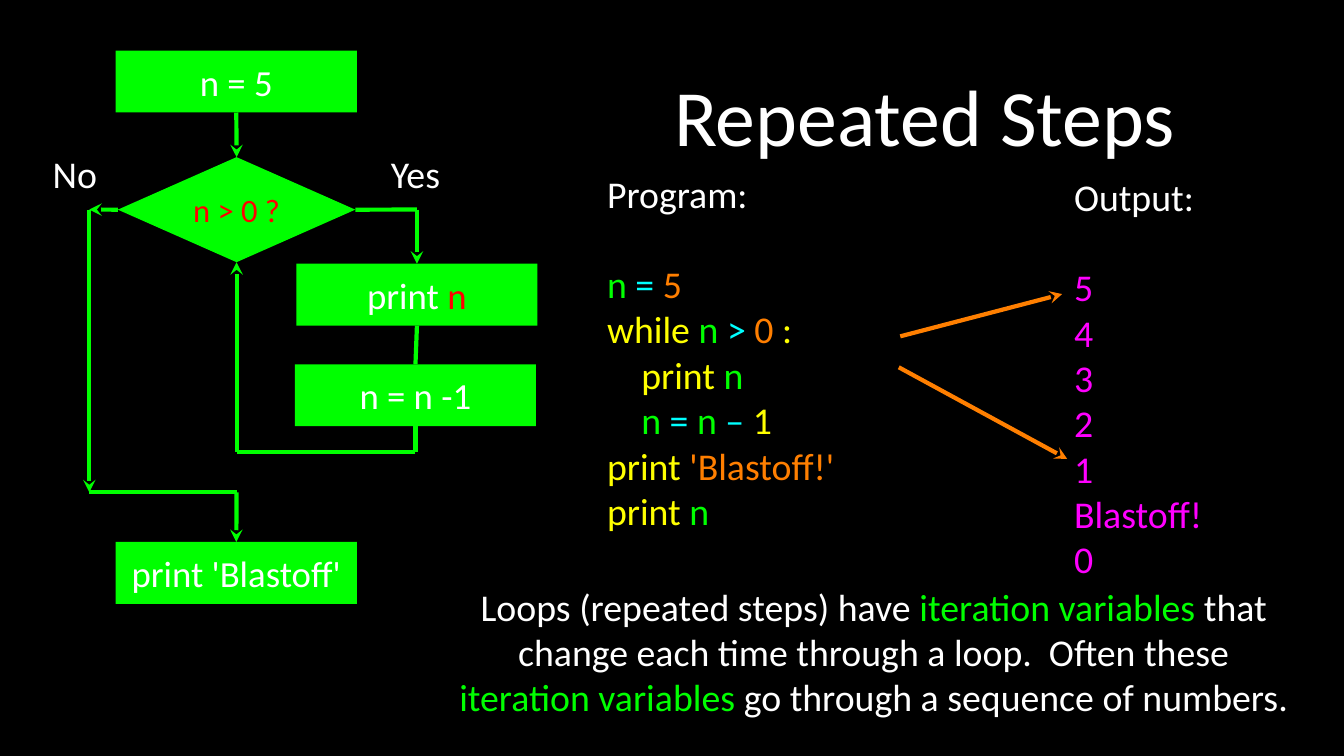
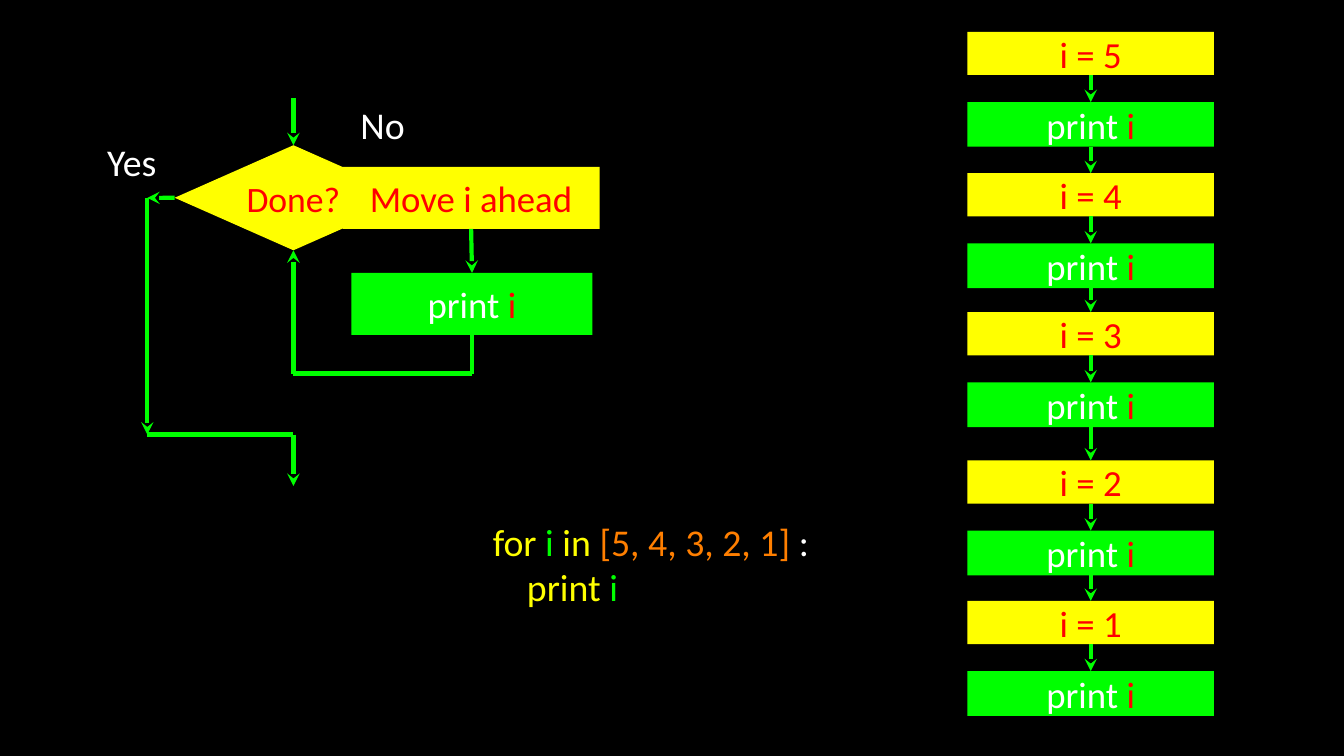
"""Build two slides on loops: a while flowchart and a for flowchart."""
from lxml import etree
from pptx import Presentation
from pptx.dml.color import RGBColor
from pptx.enum import shapes, text
from pptx.oxml import ns
from pptx.util import Cm, Pt

rgb = RGBColor.from_string
BLACK, WHITE, RED, GREEN = "000000", "FFFFFF", "FF0000", "00FF00"
YELLOW, ORANGE, CYAN, MAGENTA = "FFFF00", "FF7F00", "00FFFF", "FF00FF"
RECT, DIAMOND = shapes.MSO_SHAPE.RECTANGLE, shapes.MSO_SHAPE.DIAMOND
LEFT, CENTER = text.PP_ALIGN.LEFT, text.PP_ALIGN.CENTER
STEP = (8.1, 2.08)
TEST = (7.98, 3.53)


def write(slide, box, lines, size=36, align=CENTER, preset=None, fill=None, gap=0):
    """Place lines of (text, colour) runs; gap is the space after the first line."""
    frame_box = [Cm(length) for length in box]
    if preset:
        part = slide.shapes.add_shape(preset, *frame_box)
        part.shadow.inherit = False
        part.fill.solid()
        part.fill.fore_color.rgb = rgb(fill)
        part.line.fill.background()
    else:
        part = slide.shapes.add_textbox(*frame_box)
    frame = part.text_frame
    frame.word_wrap = True
    frame.vertical_anchor = text.MSO_ANCHOR.MIDDLE
    frame.margin_left = frame.margin_right = frame.margin_top = frame.margin_bottom = 0
    for number, line in enumerate(lines):
        paragraph = frame.add_paragraph() if number else frame.paragraphs[0]
        paragraph.alignment = align
        if number == 1 and gap:
            paragraph.space_before = Pt(gap)
        for words, color in line:
            run = paragraph.add_run()
            run.text = words
            run.font.name, run.font.size = "Calibri", Pt(size)
            run.font.color.rgb = rgb(color)
    return part


def connect(slide, start, end, arrow=True, color=GREEN):
    """Draw a line between stops, each a point or a (shape, side) pair."""
    points = [(0, 0) if hasattr(stop[0], "shape_id") else stop for stop in (start, end)]
    line = slide.shapes.add_connector(
        shapes.MSO_CONNECTOR.STRAIGHT, *[Cm(length) for point in points for length in point])
    for stop, join in ((start, line.begin_connect), (end, line.end_connect)):
        if hasattr(stop[0], "shape_id"):
            join(*stop)
    line.line.color.rgb = rgb(color)
    line.line.width = Pt(4)
    if arrow:
        etree.SubElement(line.line._get_or_add_ln(), ns.qn("a:tailEnd"), type="stealth")
    etree.SubElement(line._element.spPr, ns.qn("a:effectLst"))


deck = Presentation()
deck.slide_width, deck.slide_height = Cm(45.16), Cm(25.4)
while_slide, for_slide = [deck.slides.add_slide(deck.slide_layouts[6]) for _ in range(2)]
for slide in (while_slide, for_slide):
    slide.background.fill.solid()
    slide.background.fill.fore_color.rgb = rgb(BLACK)

write(while_slide, (20.22, 0.66, 21.69, 6.38), [[("Repeated Steps", WHITE)]], 76)
printed = ["5", "4", "3", "2", "1", "Blastoff!", "0"]
write(while_slide, (36.09, 5.82, 5.26, 13.72),
      [[("Output:", WHITE)]] + [[(value, MAGENTA)] for value in printed], align=LEFT, gap=43)
write(while_slide, (20.4, 5.72, 8.69, 12.19), [
    [("Program:", WHITE)],
    [("n ", GREEN), ("= ", CYAN), ("5", ORANGE)],
    [("while ", YELLOW), ("n ", GREEN), ("> ", CYAN), ("0", ORANGE), (" :", YELLOW)],
    [("    print ", YELLOW), ("n", GREEN)],
    [("    ", YELLOW), ("n ", GREEN), ("= ", CYAN), ("n ", GREEN), ("–", CYAN), (" 1", YELLOW)],
    [("print ", YELLOW), ("'Blastoff!'", ORANGE)],
    [("print ", YELLOW), ("n", GREEN)],
], align=LEFT, gap=43)
write(while_slide, (15.29, 19.58, 28.14, 4.62), [[
    ("Loops (repeated steps) have ", WHITE), ("iteration variables ", GREEN),
    ("that change each time through a loop.  Often these ", WHITE),
    ("iteration variables ", GREEN), ("go through a sequence of numbers.", WHITE)]])

test = write(while_slide, (3.96, 5.28, *TEST), [[("n > 0 ?", RED)]], 31,
             preset=DIAMOND, fill=GREEN)
start, show, decrement, blastoff = [
    write(while_slide, (left, top, *STEP), [runs], 35, preset=RECT, fill=GREEN)
    for left, top, runs in (
        (3.89, 1.7, [("n = 5", WHITE)]),
        (9.96, 8.86, [("print ", WHITE), ("n", RED)]),
        (9.91, 12.24, [("n = n -1", WHITE)]),
        (3.89, 18.21, [("print 'Blastoff'", WHITE)]))]
for begin, end, arrow in (
        ((start, 2), (test, 0), True),
        ((test, 3), (14.01, 7.04), False),
        ((14.01, 7.04), (show, 0), True),
        ((show, 2), (decrement, 0), False),
        ((decrement, 2), (13.96, 15.19), False),
        ((13.96, 15.19), (7.95, 15.19), False),
        ((7.95, 15.19), (test, 2), True),
        ((test, 1), (3, 7.04), True),
        ((3, 7.04), (3, 16.54), True),
        ((3, 16.54), (7.95, 16.54), False),
        ((7.95, 16.54), (blastoff, 0), True)):
    connect(while_slide, begin, end, arrow)
connect(while_slide, (30.25, 11.3), (35.69, 9.88), color=ORANGE)
connect(while_slide, (30.2, 12.34), (35.86, 15.42), color=ORANGE)

done = write(for_slide, (5.87, 4.88, *TEST), [[("Done?", RED)]], 34,
             preset=DIAMOND, fill=YELLOW)
show_item = [("print ", WHITE), ("i", RED)]
body = write(for_slide, (11.81, 9.17, *STEP), [show_item], 35, preset=RECT, fill=GREEN)
advance = write(for_slide, (11.51, 5.61, 8.64, 2.08), [[("Move i ahead", RED)]], 35,
                preset=RECT, fill=YELLOW)
for begin, end, arrow in (
        ((9.86, 3.3), (done, 0), True),
        ((advance, 2), (body, 0), True),
        ((body, 2), (15.86, 12.55), False),
        ((15.86, 12.55), (9.86, 12.55), False),
        ((9.86, 12.55), (done, 2), True),
        ((done, 1), (4.95, 6.65), True),
        ((4.95, 6.65), (4.95, 14.6), True),
        ((4.95, 14.6), (9.86, 14.6), False),
        ((9.86, 14.6), (9.86, 16.33), True)):
    connect(for_slide, begin, end, arrow)

previous = None
for value, top in zip((5, 4, 3, 2, 1), (1.07, 5.82, 10.49, 15.47, 20.19)):
    assign = write(for_slide, (32.51, top, 8.28, 1.45), [[(f"i = {value}", RED)]], 35,
                   preset=RECT, fill=YELLOW)
    output = write(for_slide, (32.51, top + 2.36, 8.28, 1.5), [show_item], 35,
                   preset=RECT, fill=GREEN)
    connect(for_slide, (assign, 2), (output, 0))
    if previous:
        connect(for_slide, (previous, 2), (assign, 0))
    previous = output

write(for_slide, (16.56, 17.42, 11.99, 3.05), [
    [("for ", YELLOW), ("i ", GREEN), ("in ", YELLOW), ("[5, 4, 3, 2, 1] ", ORANGE), (":", WHITE)],
    [("    print ", YELLOW), ("i", GREEN)],
], align=LEFT)

for slide, answer, left, top, width in (
        (while_slide, "No", 1.65, 5.08, 1.73), (while_slide, "Yes", 12.93, 5.08, 2.06),
        (for_slide, "Yes", 3.4, 4.65, 2.06), (for_slide, "No", 11.99, 3.43, 1.73)):
    write(slide, (left, top, width, 1.52), [[(answer, WHITE)]])

deck.save("out.pptx")
